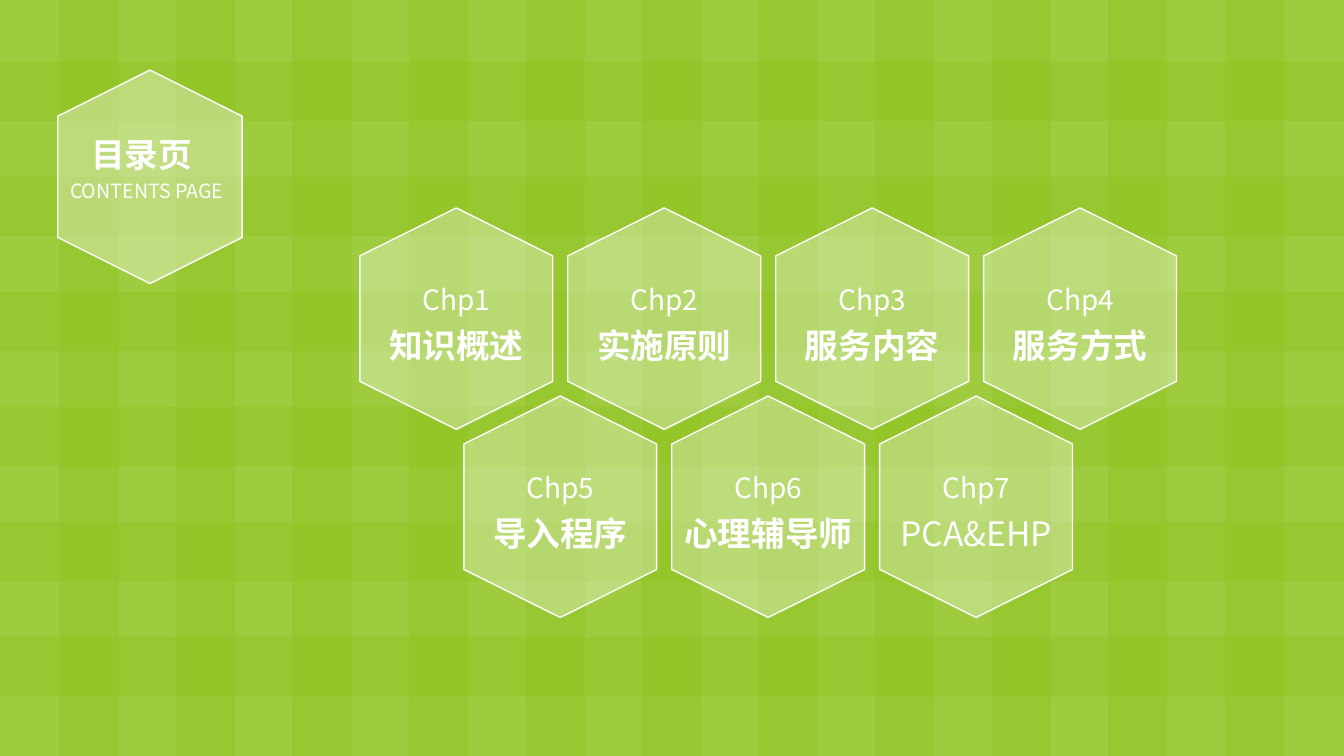
from pptx import Presentation
from pptx.dml.color import RGBColor
from pptx.enum.shapes import MSO_SHAPE as Kind
from pptx.enum.text import MSO_ANCHOR as Anchor, MSO_AUTO_SIZE as Fit, PP_ALIGN as Align
from pptx.oxml.ns import qn
from pptx.util import Cm, Pt
from lxml.etree import SubElement as Sub

LIME = RGBColor(0x9F, 0xCC, 0x3E)
GREEN = RGBColor(0x8F, 0xC3, 0x20)
WHITE = RGBColor(0xFF, 0xFF, 0xFF)
FONT = "Noto Sans CJK SC"


def paint(shape, color, alpha, edge=False):
    shape.shadow.inherit = False
    shape.fill.solid()
    shape.fill.fore_color.rgb = color
    tone = shape.fill._xPr.find(qn("a:solidFill"))[0]
    Sub(tone, qn("a:alpha"), val=str(alpha * 1000))
    if edge:
        shape.line.color.rgb = WHITE
        shape.line.width = Pt(1)
    else:
        shape.line.fill.background()


def write(shape, text, styles):
    frame = shape.text_frame
    frame.text = text
    frame.word_wrap = True
    frame.auto_size = Fit.SHAPE_TO_FIT_TEXT
    frame.vertical_anchor = Anchor.TOP
    for para, (size, bold) in zip(frame.paragraphs, styles):
        para.alignment = Align.CENTER
        para.line_spacing = 1.22
        font = para.runs[0].font
        font.size = Pt(size)
        font.bold = bold
        font.color.rgb = WHITE
        font.name = FONT
        Sub(font._element, qn("a:ea"), typeface=FONT)


deck = Presentation()
deck.slide_width = Cm(33.87)
deck.slide_height = Cm(19.05)
slide = deck.slides.add_slide(deck.slide_layouts[5])
slide.background.fill.solid()
slide.background.fill.fore_color.rgb = LIME
shapes = slide.shapes
title = shapes.title

for row in range(6):
    band = shapes.add_shape(Kind.RECTANGLE, 0, Cm(1.55 + 2.9 * row), deck.slide_width, Cm(1.5))
    paint(band, GREEN, 42)
for col in range(11):
    band = shapes.add_shape(Kind.RECTANGLE, Cm(1.5 + 2.936 * col), 0, Cm(1.5), deck.slide_height)
    paint(band, GREEN, 42)

badge = shapes.add_shape(Kind.HEXAGON, Cm(1.09), Cm(2.13), Cm(5.38), Cm(4.65))
badge.rotation = 270
paint(badge, WHITE, 36, True)

shapes._spTree.append(title._element)
title.left, title.top, title.width, title.height = Cm(1.08), Cm(3.02), Cm(4.98), Cm(2.24)
write(title, "目录页\nCONTENTS PAGE", [(24, True), (14, False)])
props = title.text_frame.paragraphs[1]._p.get_or_add_pPr()
props.set("marL", str(Cm(0.26)))
props.set("indent", "0")

WIDE, HIGH, SLOPE, PITCH = 4.86, 5.58, 1.21, 5.24
ROWS = [
    (9.07, 5.24, ["知识概述", "实施原则", "服务内容", "服务方式"]),
    (11.69, 9.98, ["导入程序", "心理辅导师", "PCA&EHP"]),
]
num = 0
for left, top, names in ROWS:
    for col, name in enumerate(names):
        num += 1
        x = left + PITCH * col
        mid, right = x + WIDE / 2, x + WIDE
        high, low = top + SLOPE, top + HIGH - SLOPE
        pen = shapes.build_freeform(Cm(mid), Cm(top))
        pen.add_line_segments([
            (Cm(right), Cm(high)), (Cm(right), Cm(low)), (Cm(mid), Cm(top + HIGH)),
            (Cm(x), Cm(low)), (Cm(x), Cm(high)),
        ])
        paint(pen.convert_to_shape(), WHITE, 32, True)
        label = shapes.add_textbox(Cm(x), Cm(top + 1.56), Cm(WIDE), Cm(2.54))
        write(label, f"Chp{num}\n{name}", [(20, False), (24, name != "PCA&EHP")])

deck.save("out.pptx")
